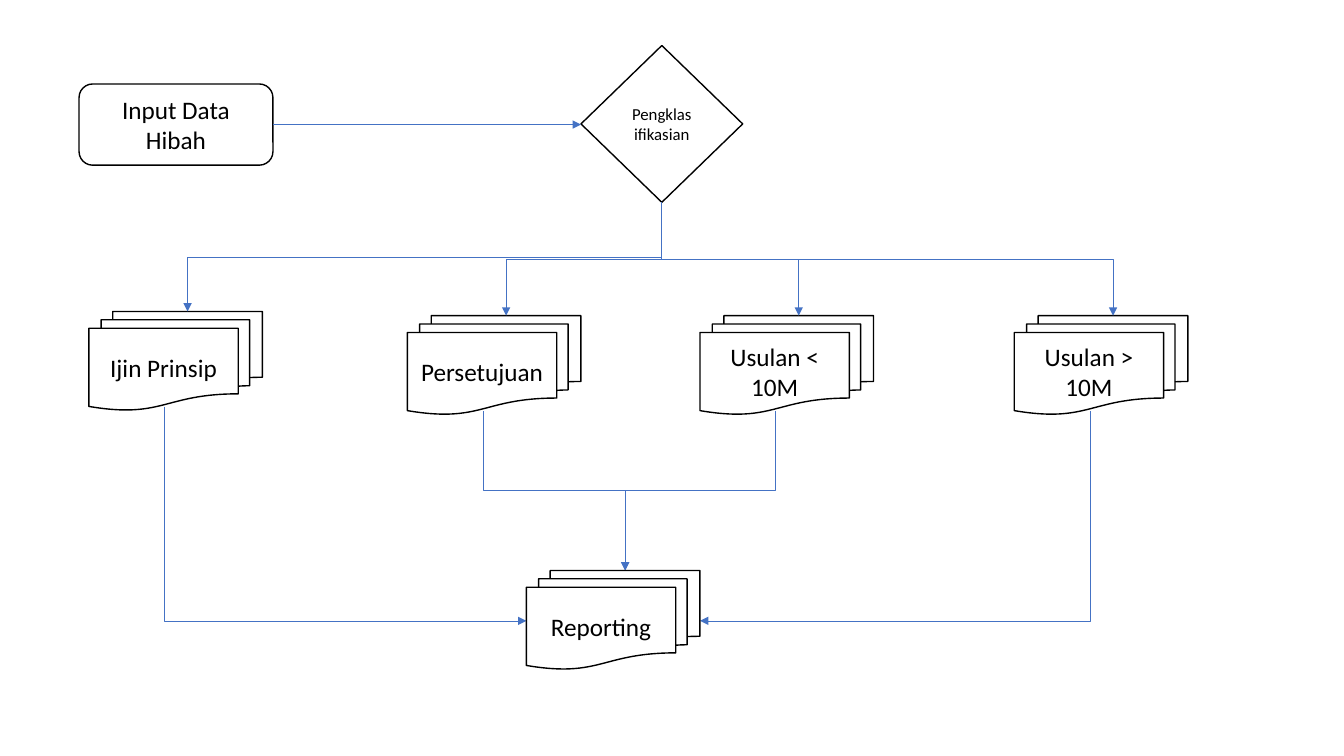
from lxml.etree import SubElement
from pptx import Presentation
from pptx.dml.color import RGBColor
from pptx.enum.shapes import MSO_CONNECTOR, MSO_SHAPE
from pptx.enum.text import MSO_ANCHOR, PP_ALIGN
from pptx.oxml.ns import qn
from pptx.util import Pt

deck = Presentation()
deck.slide_width, deck.slide_height = Pt(960), Pt(540)
slide = deck.slides.add_slide(deck.slide_layouts[6])

DOC_W, DOC_H = 124, 70.5
TOP_X, BOTTOM_X, BOTTOM_Y, SIDE_Y = 70.5, 54, 68, 36


def add_step(text, kind, left, top, width=DOC_W, height=DOC_H, *, size=18, color="000000"):
    step = slide.shapes.add_shape(kind, Pt(left), Pt(top), Pt(width), Pt(height))
    step.shadow.inherit = False
    step.fill.background()
    step.line.color.rgb = RGBColor.from_string(color)
    step.line.width = Pt(1)
    frame = step.text_frame
    frame.word_wrap = True
    frame.vertical_anchor = MSO_ANCHOR.MIDDLE
    paragraph = frame.paragraphs[0]
    paragraph.alignment = PP_ALIGN.CENTER
    run = paragraph.add_run()
    run.text = text
    run.font.name = "Calibri"
    run.font.size = Pt(size)
    run.font.color.rgb = RGBColor.from_string(color)


def add_arrow(x1, y1, x2, y2, bends=0, color="4472C4"):
    kind = MSO_CONNECTOR.STRAIGHT
    start, end = (x1, y1), (x2, y2)
    if bends:
        kind = MSO_CONNECTOR.ELBOW
        mid_x, mid_y = (x1 + x2) / 2, (y1 + y2) / 2
        half_w, half_h = (y2 - y1) / 2, abs(x2 - x1) / 2
        if x2 > x1:
            half_w = -half_w
        start, end = (mid_x - half_w, mid_y - half_h), (mid_x + half_w, mid_y + half_h)
    arrow = slide.shapes.add_connector(kind, *(Pt(v) for v in start + end))
    properties = arrow._element.spPr
    if bends:
        quarter_turns = 3 if x2 > x1 else 1
        properties.find(qn("a:xfrm")).set("rot", str(quarter_turns * 5400000))
        properties.find(qn("a:prstGeom")).set("prst", f"bentConnector{bends + 1}")
    arrow.line.color.rgb = RGBColor.from_string(color)
    arrow.line.width = Pt(0.5)
    SubElement(properties.find(qn("a:ln")), qn("a:tailEnd"), type="triangle")
    SubElement(properties, qn("a:effectLst"))


add_step("Input Data Hibah", MSO_SHAPE.ROUNDED_RECTANGLE, 56.5, 60, 138.5, 58)
add_step("Pengklasifikasian", MSO_SHAPE.DIAMOND, 415, 32.5, 115.5, 112, size=12)
add_arrow(195, 89, 415, 89)

report_left, report_top = 376, 407.5
report_side = report_top + SIDE_Y
report_entry = (report_left + TOP_X, report_top, 2)
documents = [
    ("Ijin Prinsip", 63.5, 222.5, (report_left, report_side, 1)),
    ("Persetujuan", 291, 225.5, report_entry),
    ("Usulan < 10M", 500, 225.5, report_entry),
    ("Usulan > 10M", 724.5, 225.5, (report_left + DOC_W, report_side, 1)),
]
for title, left, top, target in documents:
    add_step(title, MSO_SHAPE.FLOWCHART_MULTIDOCUMENT, left, top)
    add_arrow(472.5, 144.5, left + TOP_X, top, 2)
    add_arrow(left + BOTTOM_X, top + BOTTOM_Y, *target)
add_step("Reporting", MSO_SHAPE.FLOWCHART_MULTIDOCUMENT, report_left, report_top)

deck.save("out.pptx")
